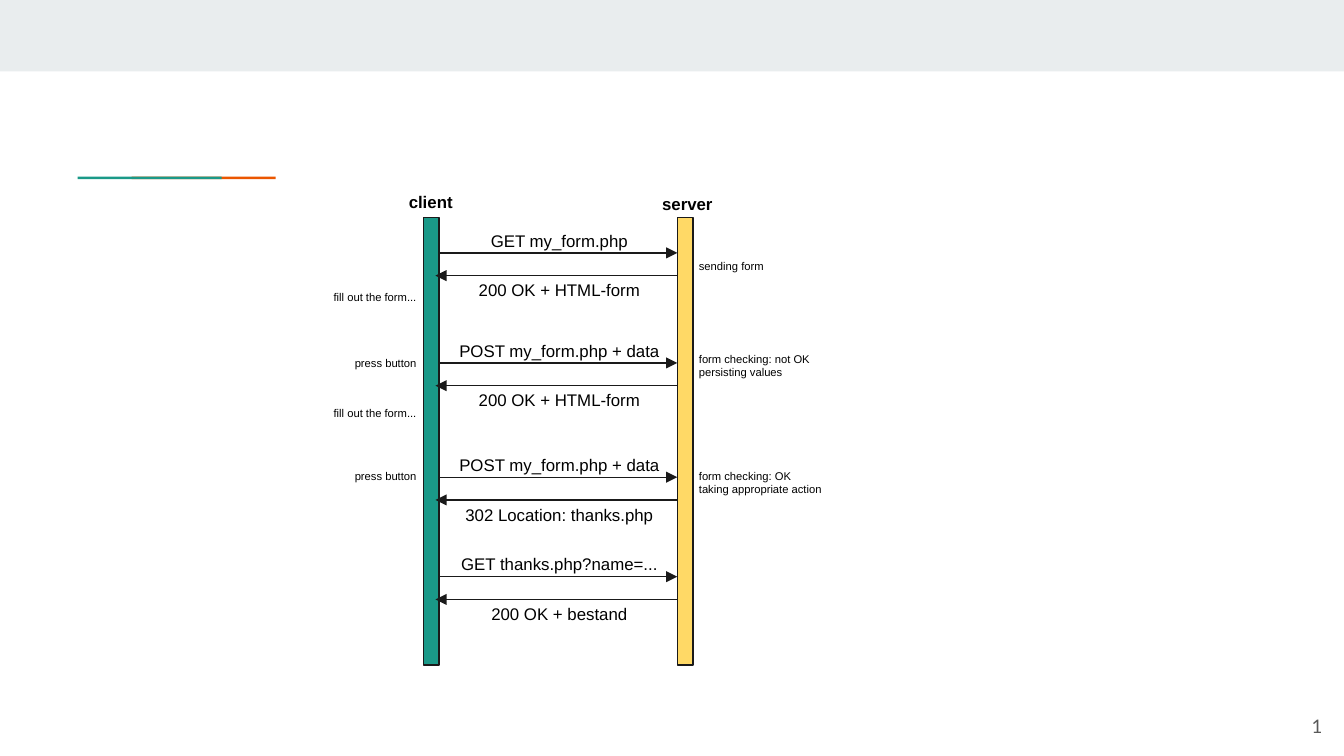
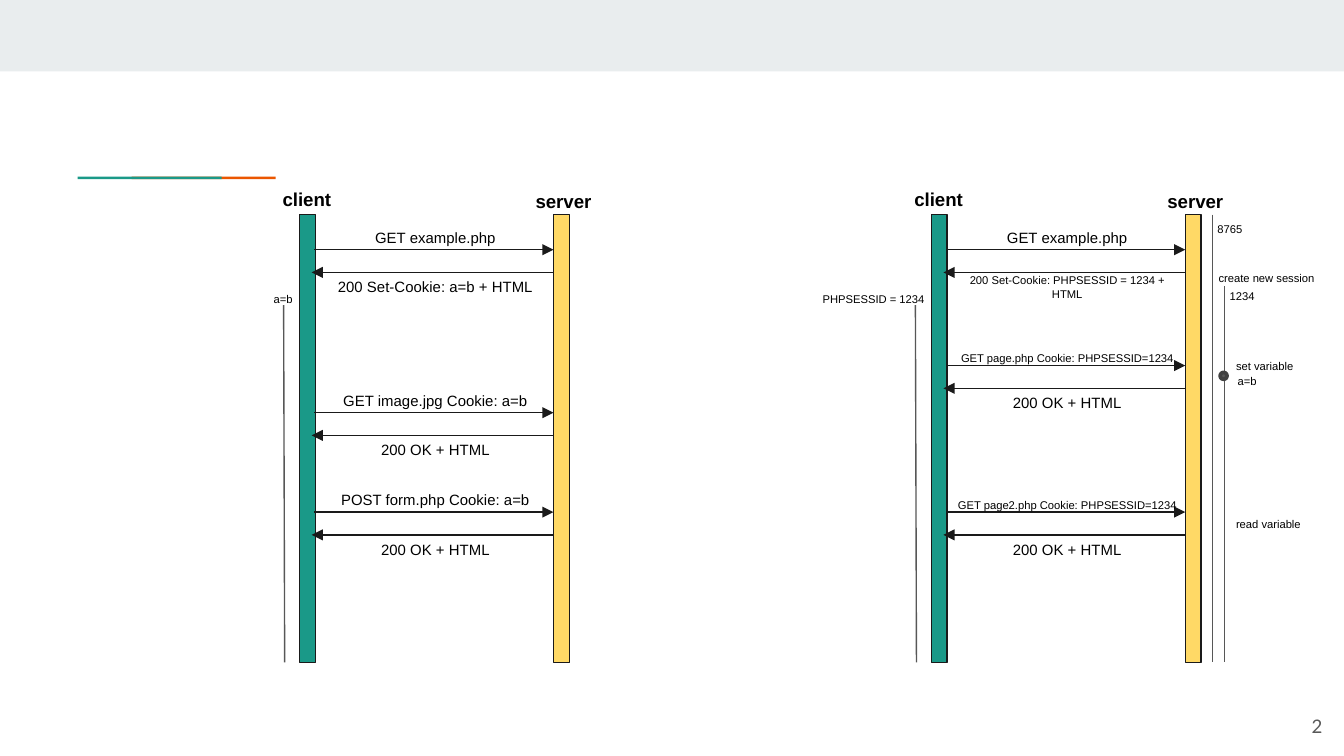
from lxml import etree
from pptx import Presentation
from pptx.dml.color import RGBColor
from pptx.enum.shapes import MSO_CONNECTOR, MSO_SHAPE
from pptx.enum.text import MSO_ANCHOR, PP_ALIGN
from pptx.oxml.ns import qn
from pptx.util import Cm, Pt

LEFT, CENTER, RIGHT = PP_ALIGN.LEFT, PP_ALIGN.CENTER, PP_ALIGN.RIGHT
MIDDLE = MSO_ANCHOR.MIDDLE
RECTANGLE, OVAL = MSO_SHAPE.RECTANGLE, MSO_SHAPE.OVAL
STRAIGHT = MSO_CONNECTOR.STRAIGHT

BLACK = RGBColor(0x00, 0x00, 0x00)
INK = RGBColor(0x1A, 0x1A, 0x1A)
GRAY = RGBColor(0x59, 0x59, 0x59)
DOT_EDGE = RGBColor(0x42, 0x42, 0x42)
SPAN_GRAY = RGBColor(0x57, 0x57, 0x57)
BAND = RGBColor(0xE9, 0xED, 0xEE)
TEAL = RGBColor(0x1A, 0x99, 0x88)
ORANGE = RGBColor(0xEB, 0x56, 0x00)
YELLOW = RGBColor(0xFF, 0xD9, 0x66)

SERVER_OFFSET = 4.8
BAR_WIDTH, BAR_HEIGHT = 0.3, 8.46
LABEL_WIDTH, LABEL_HEIGHT = 4.42, 0.97
LABEL_CENTER = 2.57
NOTE_SIZE = 6


def add_text(page, text, left, top, width=LABEL_WIDTH, height=LABEL_HEIGHT, *,
             size=NOTE_SIZE, font="Arial", color=BLACK, bold=False, align=LEFT):
    box = page.shapes.add_textbox(Cm(left), Cm(top), Cm(width), Cm(height))
    frame = box.text_frame
    frame.word_wrap = True
    frame.vertical_anchor = MIDDLE
    frame.margin_left = frame.margin_right = Cm(0.25)
    frame.margin_top = frame.margin_bottom = Cm(0.25)
    para = frame.paragraphs[0]
    para.alignment = align
    para.text = text
    for span in para.runs:
        span.font.name = font
        span.font.size = Pt(size)
        span.font.bold = bold
        span.font.color.rgb = color


def add_block(page, kind, left, top, width, height, fill, edge=None, weight=0.75):
    block = page.shapes.add_shape(kind, Cm(left), Cm(top), Cm(width), Cm(height))
    block.shadow.inherit = False
    block.fill.solid()
    block.fill.fore_color.rgb = fill
    if edge is None:
        block.line.fill.background()
    else:
        block.line.color.rgb = edge
        block.line.width = Pt(weight)


def add_line(page, start, end, color=INK, arrow=False):
    line = page.shapes.add_connector(STRAIGHT, *map(Cm, start + end))
    line.line.color.rgb = color
    line.line.width = Pt(0.75)
    if arrow:
        outline = line.line._get_or_add_ln()
        etree.SubElement(outline, qn("a:tailEnd"), type="triangle")
    etree.SubElement(line._element.spPr, qn("a:effectLst"))


def add_page(deck, number):
    page = deck.slides.add_slide(deck.slide_layouts[6])
    add_block(page, RECTANGLE, 0, 0, 25.4, 1.35, BAND)
    for left, color in ((2.49, ORANGE), (1.47, TEAL)):
        add_block(page, RECTANGLE, left, 3.34, 2.72, 0.05, color)
    add_text(page, str(number), 23.72, 13.18, 1.52, 1.09, size=10,
             font="Lato", color=GRAY, align=RIGHT)
    return page


def add_lifelines(page, left, top, size):
    add_block(page, RECTANGLE, left + SERVER_OFFSET, top, BAR_WIDTH, BAR_HEIGHT, YELLOW, INK)
    add_block(page, RECTANGLE, left, top, BAR_WIDTH, BAR_HEIGHT, TEAL, INK)
    add_text(page, "client", left - 0.99, top - 0.78, 2.26, size=size, bold=True, align=CENTER)
    add_text(page, "server", left + 3.86, top - 0.75, 2.26, size=size, bold=True, align=CENTER)


def add_exchange(page, left, top, request, response, request_size, response_size):
    server = left + SERVER_OFFSET
    answer_top = top + 0.43
    add_line(page, (left + 0.28, top), (server, top), arrow=True)
    add_line(page, (server, answer_top), (left + 0.23, answer_top), arrow=True)
    small = request_size == NOTE_SIZE
    width = 5.38 if small else LABEL_WIDTH
    rise = 0.62 if small else 0.72
    add_text(page, request, left + LABEL_CENTER - width / 2, top - rise, width,
             size=request_size, align=CENTER)
    add_text(page, response, left + LABEL_CENTER - LABEL_WIDTH / 2, top + 0.22,
             size=response_size, align=CENTER)


def add_client_note(page, client_left, top, text):
    add_text(page, text, client_left - 4.3, top, align=RIGHT)


def add_cookie_span(page, client_left, text):
    add_client_note(page, client_left, 5.16, text)
    add_line(page, (client_left - 0.3, 5.77), (client_left - 0.28, 12.52), SPAN_GRAY)


def build_form_page(deck):
    page = add_page(deck, 1)
    client = 8
    add_lifelines(page, client, 4.11, 9)
    for top, request, response in (
        (4.78, "GET my_form.php", "200 OK + HTML-form"),
        (6.86, "POST my_form.php + data", "200 OK + HTML-form"),
        (9.02, "POST my_form.php + data", "302 Location: thanks.php"),
        (10.9, "GET thanks.php?name=...", "200 OK + bestand"),
    ):
        add_exchange(page, client, top, request, response, 9, 9)
    for top, note in (
        (5.13, "fill out the form..."),
        (6.38, "press button"),
        (7.32, "fill out the form..."),
        (8.51, "press button"),
    ):
        add_client_note(page, client, top, note)
    for top, note in (
        (4.55, "sending form"),
        (6.43, "form checking: not OK\npersisting values"),
        (8.64, "form checking: OK\ntaking appropriate action"),
    ):
        add_text(page, note, 12.96, top)


def build_cookie_page(deck):
    page = add_page(deck, 2)
    cookie_client, session_client = 5.66, 17.6
    for client in (cookie_client, session_client):
        add_lifelines(page, client, 4.06, 10)
    for client, top, request, response, request_size, response_size in (
        (cookie_client, 4.72, "GET example.php", "200 Set-Cookie: a=b + HTML", 8, 8),
        (cookie_client, 7.8, "GET image.jpg Cookie: a=b", "200 OK + HTML", 8, 8),
        (cookie_client, 9.68, "POST form.php Cookie: a=b", "200 OK + HTML", 8, 8),
        (session_client, 4.72, "GET example.php",
         "200 Set-Cookie: PHPSESSID = 1234 + HTML", 8, 6),
        (session_client, 6.91, "GET page.php Cookie: PHPSESSID=1234", "200 OK + HTML", 6, 8),
        (session_client, 9.68, "GET page2.php Cookie: PHPSESSID=1234", "200 OK + HTML", 6, 8),
    ):
        add_exchange(page, client, top, request, response, request_size, response_size)
    add_cookie_span(page, cookie_client, "a=b")
    add_cookie_span(page, session_client, "PHPSESSID = 1234")
    for left, top in ((23.14, 5.41), (22.91, 4.06)):
        add_line(page, (left, top), (left, 12.52), SPAN_GRAY)
    add_block(page, OVAL, 23.06, 7.04, 0.13, 0.13, GRAY, DOT_EDGE, 2)
    for left, top, note in (
        (22.76, 3.84, "8765"),
        (22.78, 4.78, "create new session"),
        (22.99, 5.11, "1234"),
        (23.11, 6.43, "set variable"),
        (23.14, 6.71, "a=b"),
        (23.11, 9.42, "read variable"),
    ):
        add_text(page, note, left, top)


def main():
    deck = Presentation()
    deck.slide_width, deck.slide_height = Cm(25.4), Cm(14.29)
    build_form_page(deck)
    build_cookie_page(deck)
    deck.save("out.pptx")


if __name__ == "__main__":
    main()
